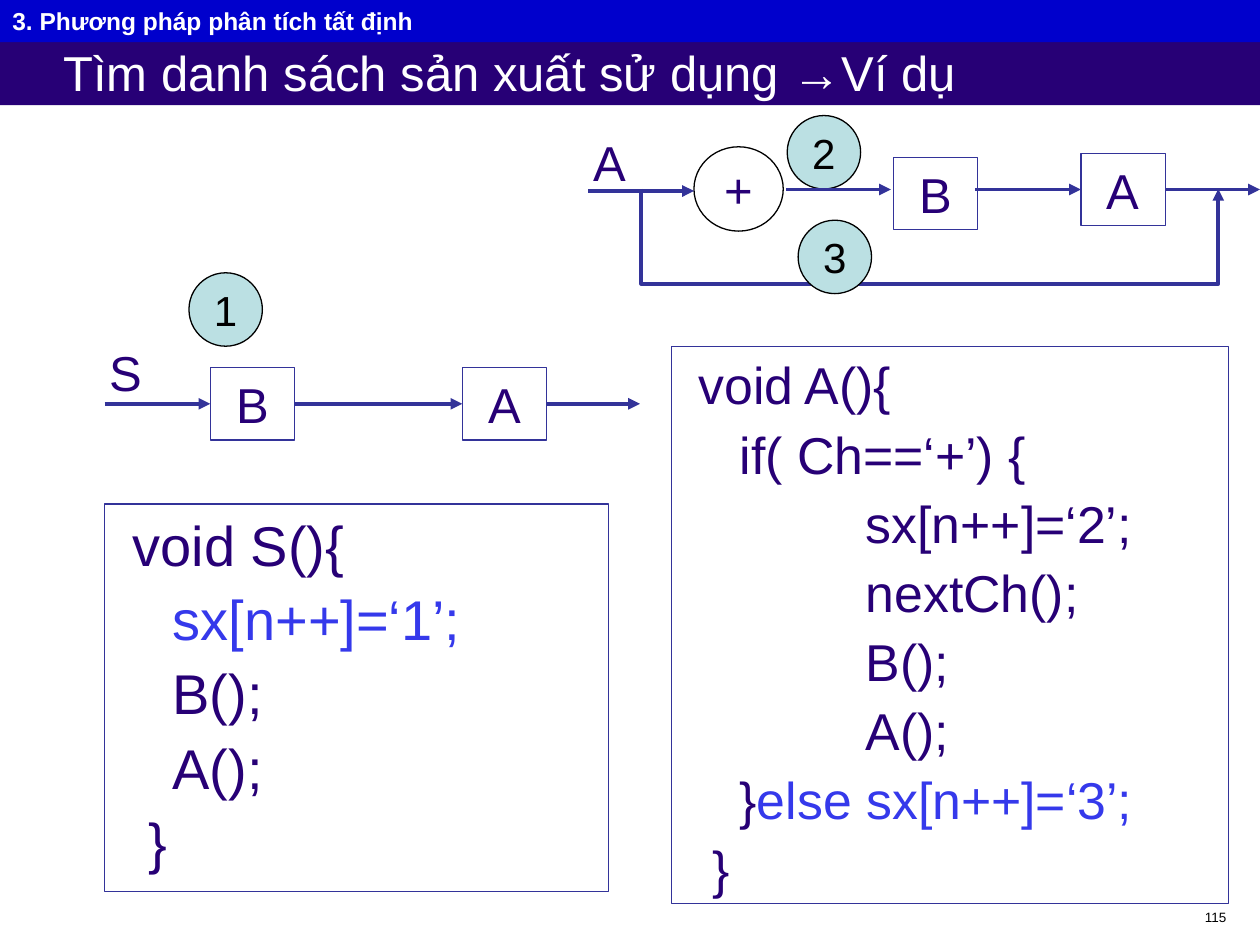
from lxml import etree
from pptx import Presentation
from pptx.dml.color import RGBColor
from pptx.enum.shapes import MSO_CONNECTOR, MSO_SHAPE
from pptx.enum.text import MSO_ANCHOR, PP_ALIGN
from pptx.oxml.ns import qn
from pptx.util import Cm, Pt

RECTANGLE, OVAL = MSO_SHAPE.RECTANGLE, MSO_SHAPE.OVAL
STRAIGHT = MSO_CONNECTOR.STRAIGHT
TOP, MIDDLE = MSO_ANCHOR.TOP, MSO_ANCHOR.MIDDLE
LEFT, CENTER, RIGHT = PP_ALIGN.LEFT, PP_ALIGN.CENTER, PP_ALIGN.RIGHT
LEFT_SIDE, RIGHT_SIDE = 1, 3

THEME = {
    "font": "Arial",
    "ink": "270076", "accent": "3539EB", "line": "333399", "bar": "0000CC",
    "badge": "BBE0E3", "white": "FFFFFF", "black": "000000",
    "title": 28, "section": 14, "symbol": 28, "number": 24, "page": 7.7,
    "code_s": 32, "code_a": 29.6, "code_gap": 4,
    "thin": 0.75, "thick": 2.25,
}

SECTION = "3. Phương pháp phân tích tất định"
TITLE = "Tìm danh sách sản xuất sử dụng →Ví dụ"
PAGE = "115"

CODE_INDENTS = (0, 1.12, 3.66)
CODE_BLOCKS = [
    ((2.11, 10.16, 10.16, 7.82), "code_s", [
        (0, [(" void S(){", "ink")]),
        (1, [("sx[n++]=‘1’;", "accent")]),
        (1, [("B();", "ink")]),
        (1, [("A();", "ink")]),
        (0, [("  }", "ink")]),
    ]),
    ((13.54, 6.99, 11.23, 11.23), "code_a", [
        (0, [(" void A(){", "ink")]),
        (1, [("if( Ch==‘+’) {", "ink")]),
        (2, [("sx[n++]=‘2’;", "ink")]),
        (2, [("nextCh();", "ink")]),
        (2, [("B();", "ink")]),
        (2, [("A();", "ink")]),
        (1, [("}", "ink"), ("else sx[n++]=‘3’;", "accent")]),
        (0, [("  }", "ink")]),
    ]),
]

SYMBOL_SIZE = (1.7, 1.46)
BADGE_SIZE = (1.48, 1.48)
START_LABELS = [("S", 1.68, 6.77), ("A", 11.44, 2.53)]
NODES = {
    "S rule B": ("B", 4.24, 7.41),
    "S rule A": ("A", 9.32, 7.41),
    "A rule B": ("B", 18.01, 3.17),
    "A rule A": ("A", 21.79, 3.09),
}
PLUS = (13.99, 2.96, 1.8, 1.7)
ARROWS = [
    (2.11, 4.24, 8.14, None, "S rule B"),
    (5.94, 9.32, 8.14, "S rule B", "S rule A"),
    (11.02, 12.9, 8.14, "S rule A", None),
    (11.86, 13.99, 3.85, None, None),
    (15.85, 17.96, 3.82, None, None),
    (19.66, 21.79, 3.82, None, "A rule A"),
    (23.49, 25.4, 3.82, "A rule A", None),
]
BYPASS = [(12.93, 3.81), (12.93, 5.72), (24.56, 5.72), (24.56, 3.81)]


def color(name):
    return RGBColor.from_string(THEME[name])


def add_run(paragraph, text, size, ink, bold=False):
    run = paragraph.add_run()
    run.text = text
    run.font.name = THEME["font"]
    run.font.size = Pt(THEME[size])
    run.font.bold = bold
    run.font.color.rgb = color(ink)


def set_frame(shape, anchor, insets):
    frame = shape.text_frame
    frame.word_wrap = True
    frame.vertical_anchor = anchor
    (frame.margin_left, frame.margin_top,
     frame.margin_right, frame.margin_bottom) = map(Cm, insets)
    return frame


def write(shape, text, size, ink, align, anchor=MIDDLE, insets=(0, 0, 0, 0), bold=False):
    paragraph = set_frame(shape, anchor, insets).paragraphs[0]
    paragraph.alignment = align
    add_run(paragraph, text, size, ink, bold)


def set_outline(shape, line, width="thin"):
    if line:
        shape.line.color.rgb = color(line)
        shape.line.width = Pt(THEME[width])
    else:
        shape.line.fill.background()


def add_box(slide, preset, place, fill=None, line=None):
    shape = slide.shapes.add_shape(preset, *map(Cm, place))
    shape.shadow.inherit = False
    if fill:
        shape.fill.solid()
        shape.fill.fore_color.rgb = color(fill)
    else:
        shape.fill.background()
    set_outline(shape, line)
    return shape


def add_arrowhead(shape):
    etree.SubElement(shape.line._get_or_add_ln(), qn("a:tailEnd"), type="triangle")


def add_code(slide, place, size, lines):
    shape = add_box(slide, RECTANGLE, place, line="line")
    frame = set_frame(shape, TOP, (0.25, 0.13, 0.25, 0.13))
    for index, (depth, pieces) in enumerate(lines):
        paragraph = frame.add_paragraph() if index else frame.paragraphs[0]
        properties = paragraph._p.get_or_add_pPr()
        properties.set("marL", str(Cm(CODE_INDENTS[depth])))
        properties.set("indent", "0")
        paragraph.alignment = LEFT
        if index:
            paragraph.space_before = Pt(THEME["code_gap"])
        for text, ink in pieces:
            add_run(paragraph, text, size, ink)


def add_badge(slide, number, left, top):
    badge = add_box(slide, OVAL, (left, top, *BADGE_SIZE), "badge", "black")
    write(badge, number, "number", "black", CENTER)


def add_arrow(slide, nodes, start, end, height, source, target):
    arrow = slide.shapes.add_connector(STRAIGHT, Cm(start), Cm(height), Cm(end), Cm(height))
    if source:
        arrow.begin_connect(nodes[source], RIGHT_SIDE)
    if target:
        arrow.end_connect(nodes[target], LEFT_SIDE)
    set_outline(arrow, "line", "thick")
    add_arrowhead(arrow)
    etree.SubElement(arrow._element.spPr, qn("a:effectLst"))


def add_bypass(slide):
    points = [(Cm(x), Cm(y)) for x, y in BYPASS]
    builder = slide.shapes.build_freeform(*points[0])
    builder.add_line_segments(points[1:], close=False)
    shape = builder.convert_to_shape()
    shape.shadow.inherit = False
    shape.fill.background()
    set_outline(shape, "line", "thick")
    add_arrowhead(shape)


def add_diagrams(slide):
    add_badge(slide, "2", 15.87, 2.33)
    for text, left, top in START_LABELS:
        label = slide.shapes.add_textbox(*map(Cm, (left, top, *SYMBOL_SIZE)))
        write(label, text, "symbol", "ink", CENTER)
    nodes = {}
    for name, (text, left, top) in NODES.items():
        nodes[name] = add_box(slide, RECTANGLE, (left, top, *SYMBOL_SIZE), "white", "line")
        write(nodes[name], text, "symbol", "ink", CENTER)
    plus = add_box(slide, OVAL, PLUS, "white", "black")
    write(plus, "+", "symbol", "ink", CENTER)
    for arrow in ARROWS:
        add_arrow(slide, nodes, *arrow)
    add_bypass(slide)
    add_badge(slide, "1", 3.81, 5.5)
    add_badge(slide, "3", 16.09, 4.44)


def main():
    presentation = Presentation()
    presentation.slide_width, presentation.slide_height = Cm(25.4), Cm(19.05)
    slide = presentation.slides.add_slide(presentation.slide_layouts[6])
    page = slide.shapes.add_textbox(*map(Cm, (19.69, 18.2, 5.28, 0.61)))
    write(page, PAGE, "page", "black", RIGHT, TOP, (0.25, 0.13, 0.25, 0.13))
    title = add_box(slide, RECTANGLE, (0, 0.8, 25.4, 1.32), "ink")
    write(title, TITLE, "title", "white", LEFT, insets=(1.28, 0, 0.25, 0))
    section = add_box(slide, RECTANGLE, (0, 0, 25.4, 0.85), "bar")
    write(section, SECTION, "section", "white", LEFT, insets=(0.25, 0, 0.25, 0), bold=True)
    for block in CODE_BLOCKS:
        add_code(slide, *block)
    add_diagrams(slide)
    presentation.save("out.pptx")


if __name__ == "__main__":
    main()
